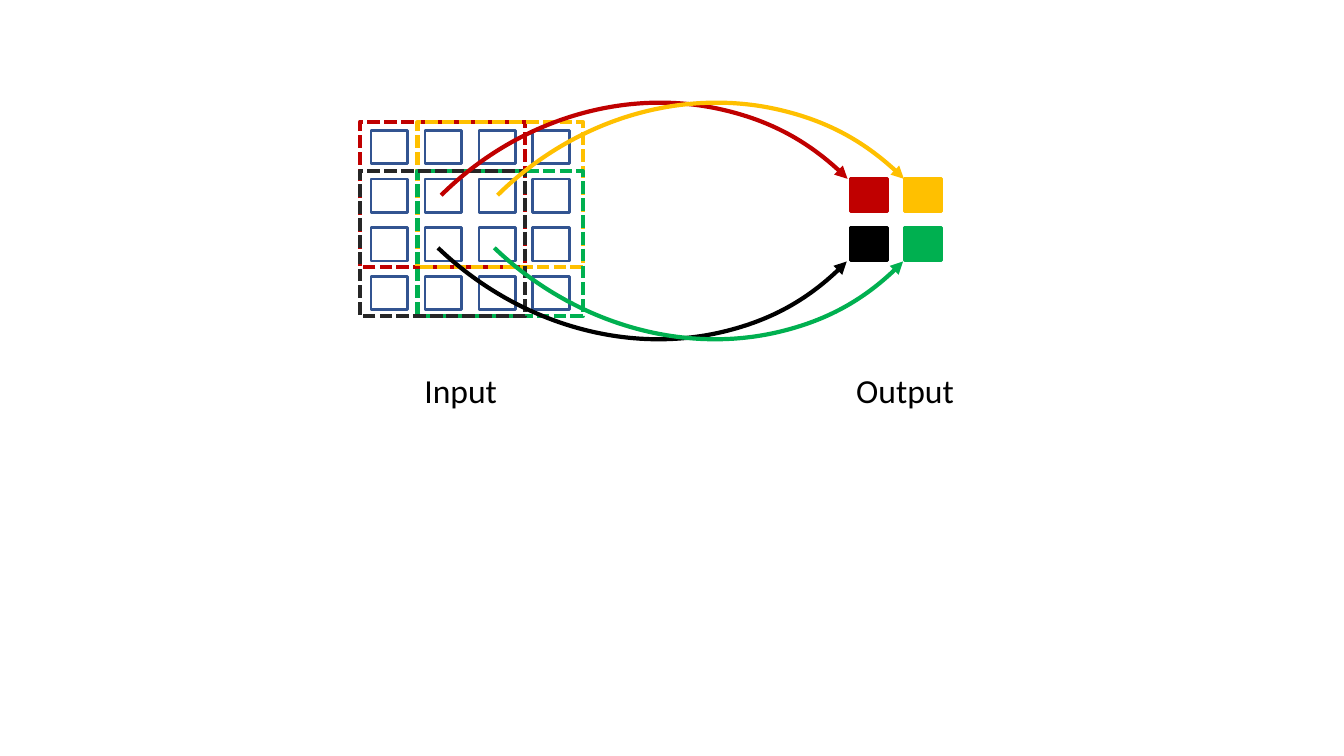
from dataclasses import dataclass

from lxml import etree
from pptx import Presentation
from pptx.dml.color import RGBColor
from pptx.enum.dml import MSO_LINE
from pptx.enum.shapes import MSO_SHAPE
from pptx.enum.text import MSO_AUTO_SIZE, PP_ALIGN
from pptx.oxml.ns import qn
from pptx.util import Cm, Pt

RECTANGLE, ARC = MSO_SHAPE.RECTANGLE, MSO_SHAPE.ARC
DASH = MSO_LINE.SQUARE_DOT
CENTER = PP_ALIGN.CENTER
GROW = MSO_AUTO_SIZE.SHAPE_TO_FIT_TEXT
BLANK_LAYOUT = 6


@dataclass(frozen=True)
class Theme:
    red: str = "C00000"
    yellow: str = "FFC000"
    green: str = "00B050"
    black: str = "000000"
    charcoal: str = "262626"
    cell: str = "325491"
    font: str = "Calibri"
    label_size: int = 24
    thin: int = 2
    thick: int = 3


THEME = Theme()

# Content: (colour, column, row), from back to front; lengths in cm
FIRST_WINDOW = (THEME.red, 0, 0)
OTHER_WINDOWS = [(THEME.yellow, 1, 0), (THEME.green, 1, 1), (THEME.charcoal, 0, 1)]
OUTPUTS = [(THEME.red, 0, 0), (THEME.yellow, 1, 0),
           (THEME.black, 0, 1), (THEME.green, 1, 1)]
ARROWS = [(THEME.red, 0, 0), (THEME.black, 0, 1),
          (THEME.green, 1, 1), (THEME.yellow, 1, 0)]
LABELS = [("Input", 8.69), ("Output", 19.89)]

INPUT_COUNT = 4
CELL_SIZE = (0.92, 0.84)
CELL_STEP = (1.36, 1.23)
INPUT_ORIGIN = (9.35, 3.28)
OUTPUT_ORIGIN = (21.44, 4.5)
WINDOW_ORIGIN, WINDOW_STEP, WINDOW_SIZE = (9.07, 3.07), (1.45, 1.24), (4.17, 3.66)
# One arc per output row: left, top, size, rotation, flipped
ARCS = [(8.41, 2.92, (15.14, 13.82), 315.3, False),
        (8.1, -5.59, (15.37, 13.74), 43.7, True)]
ARC_STEP = 1.42
LABEL_TOP, LABEL_SIZE = 9.19, (5.84, 1.27)


def grid_position(origin, step, column, row):
    return origin[0] + column * step[0], origin[1] + row * step[1]


def add_outline(slide, kind, position, size, color, width, fill=None, dash=None):
    shape = slide.shapes.add_shape(kind, *map(Cm, (*position, *size)))
    shape.shadow.inherit = False
    if fill:
        shape.fill.solid()
        shape.fill.fore_color.rgb = RGBColor.from_string(fill)
    else:
        shape.fill.background()
    shape.line.color.rgb = RGBColor.from_string(color)
    shape.line.width = Pt(width)
    if dash:
        shape.line.dash_style = dash
    return shape


def add_window(slide, color, column, row):
    position = grid_position(WINDOW_ORIGIN, WINDOW_STEP, column, row)
    add_outline(slide, RECTANGLE, position, WINDOW_SIZE, color, THEME.thick, dash=DASH)


def add_arrow(slide, color, column, row):
    left, top, size, rotation, flipped = ARCS[row]
    position = (left + column * ARC_STEP, top)
    arc = add_outline(slide, ARC, position, size, color, THEME.thick)
    arc.rotation = rotation
    properties = arc.element.spPr
    if flipped:
        properties.find(qn("a:xfrm")).set("flipV", "1")
    etree.SubElement(properties.find(qn("a:ln")), qn("a:tailEnd"), type="triangle")


def add_text(slide, text, position, size, *, font, points, color, align):
    box = slide.shapes.add_textbox(*map(Cm, (*position, *size)))
    frame = box.text_frame
    frame.word_wrap = True
    frame.auto_size = GROW
    paragraph = frame.paragraphs[0]
    paragraph.alignment = align
    run = paragraph.add_run()
    run.text = text
    run.font.name = font
    run.font.size = Pt(points)
    run.font.color.rgb = RGBColor.from_string(color)


def main():
    presentation = Presentation()
    presentation.slide_width, presentation.slide_height = Cm(33.87), Cm(19.05)
    slide = presentation.slides.add_slide(presentation.slide_layouts[BLANK_LAYOUT])

    # Input grid, over the first window
    add_window(slide, *FIRST_WINDOW)
    for row in range(INPUT_COUNT):
        for column in range(INPUT_COUNT):
            position = grid_position(INPUT_ORIGIN, CELL_STEP, column, row)
            add_outline(slide, RECTANGLE, position, CELL_SIZE, THEME.cell, THEME.thin)

    # Output cells
    for color, column, row in OUTPUTS:
        position = grid_position(OUTPUT_ORIGIN, CELL_STEP, column, row)
        add_outline(slide, RECTANGLE, position, CELL_SIZE, color, THEME.thin, fill=color)

    # Remaining windows, then the arrows from window to output
    for window in OTHER_WINDOWS:
        add_window(slide, *window)
    for arrow in ARROWS:
        add_arrow(slide, *arrow)

    # Labels
    for text, left in LABELS:
        add_text(slide, text, (left, LABEL_TOP), LABEL_SIZE, font=THEME.font,
                 points=THEME.label_size, color=THEME.black, align=CENTER)

    presentation.save("out.pptx")


if __name__ == "__main__":
    main()
